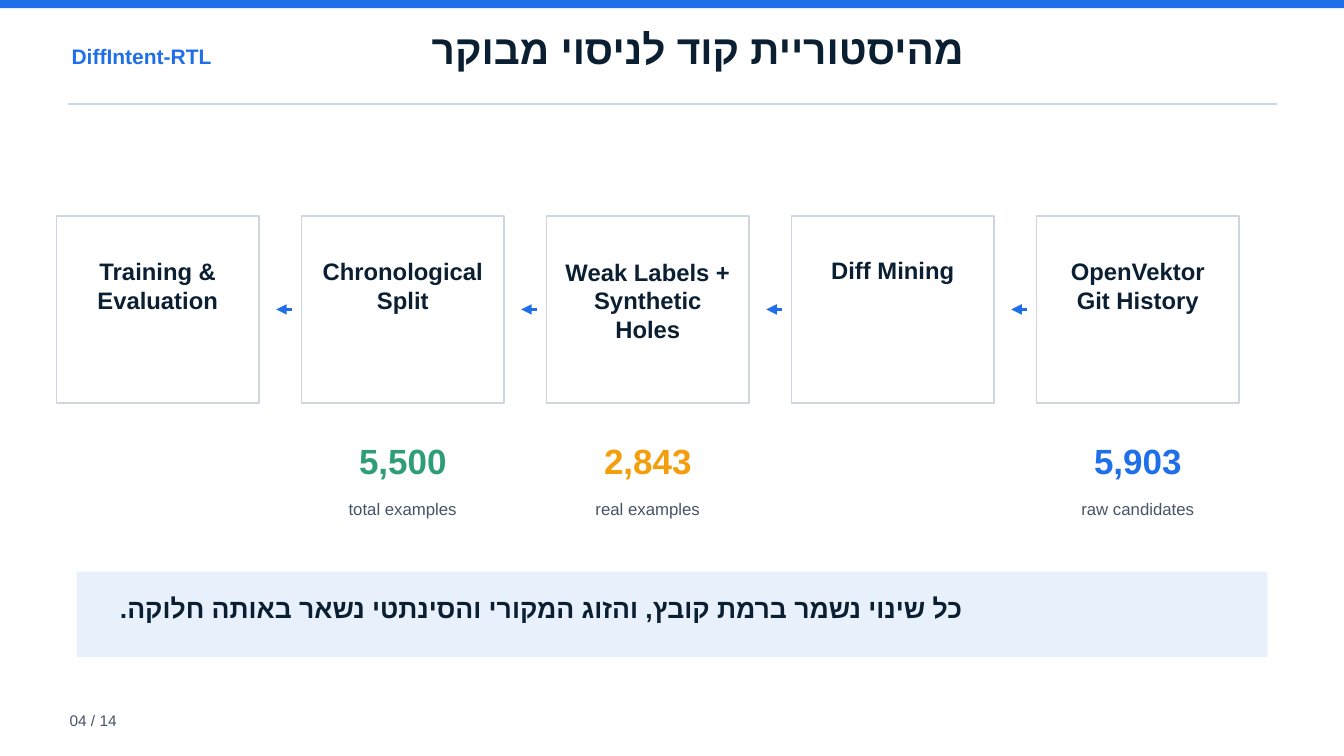
from dataclasses import dataclass
from lxml import etree
from pptx import Presentation
from pptx.dml.color import RGBColor
from pptx.enum.shapes import MSO_CONNECTOR, MSO_SHAPE
from pptx.enum.text import MSO_ANCHOR, MSO_AUTO_SIZE, PP_ALIGN
from pptx.oxml.ns import qn
from pptx.util import Inches, Pt


@dataclass(frozen=True)
class Theme:
    font: str = "Arial"
    ink: str = "0B1F33"
    muted: str = "475467"
    blue: str = "1F6FEB"
    amber: str = "F59E0B"
    green: str = "2E9D78"
    rule: str = "CFD6E0"
    white: str = "FFFFFF"
    band: str = "E8F1FB"
    title: int = 29
    number: int = 25
    takeaway: int = 19
    step: int = 17
    brand: int = 15
    caption: int = 12
    page: int = 11


theme = Theme()
prs = Presentation()
prs.slide_width, prs.slide_height = Inches(13.33), Inches(7.5)
slide = prs.slides.add_slide(prs.slide_layouts[5])


def write(text, box, size, color, bold=True, align=PP_ALIGN.LEFT, rtl=False, shape=None):
    left, top, width, height = map(Inches, box)
    shape = shape or slide.shapes.add_textbox(left, top, width, height)
    shape.left, shape.top, shape.width, shape.height = left, top, width, height
    frame = shape.text_frame
    frame.word_wrap = True
    frame.auto_size = MSO_AUTO_SIZE.NONE
    frame.vertical_anchor = MSO_ANCHOR.MIDDLE
    frame.margin_left = frame.margin_right = Inches(0.04)
    frame.margin_top = frame.margin_bottom = Inches(0.01)
    paragraph = frame.paragraphs[0]
    paragraph.alignment = align
    if rtl:
        paragraph._p.get_or_add_pPr().set("rtl", "1")
    run = paragraph.add_run()
    run.text = text
    font = run.font
    font.name, font.size, font.bold = theme.font, Pt(size), bold
    font.color.rgb = RGBColor.from_string(color)
    if rtl:
        etree.SubElement(run._r.rPr, qn("a:cs")).set("typeface", theme.font)


def draw(kind, box, color, line_width=0, fill=None, arrow=False):
    lengths = map(Inches, box)
    if kind == MSO_CONNECTOR.STRAIGHT:
        item = slide.shapes.add_connector(kind, *lengths)
    else:
        item = slide.shapes.add_shape(MSO_SHAPE.RECTANGLE, *lengths)
        item.shadow.inherit = False
        item.fill.solid()
        item.fill.fore_color.rgb = RGBColor.from_string(fill or color)
    if line_width:
        item.line.color.rgb = RGBColor.from_string(color)
        item.line.width = Pt(line_width)
    else:
        item.line.fill.background()
    if arrow:
        etree.SubElement(item.line._get_or_add_ln(), qn("a:tailEnd")).set("type", "triangle")
    if kind == MSO_CONNECTOR.STRAIGHT:
        etree.SubElement(item._element.spPr, qn("a:effectLst"))


draw(None, (0, 0, 13.33, 0.08), theme.blue)
write("מהיסטוריית קוד לניסוי מבוקר", (4.24, 0.22, 8.43, 0.52), theme.title, theme.ink,
      rtl=True, shape=slide.shapes.title)
write("DiffIntent-RTL", (0.67, 0.42, 3.47, 0.28), theme.brand, theme.blue)
draw(MSO_CONNECTOR.STRAIGHT, (0.67, 1.03, 12.67, 1.03), theme.rule, 1)
write("04 / 14", (0.65, 7.04, 0.97, 0.21), theme.page, theme.muted, bold=False)

steps = [
    ("Training & Evaluation", 2, None),
    ("Chronological Split", 2, ("5,500", "total examples", theme.green)),
    ("Weak Labels + Synthetic Holes", 3, ("2,843", "real examples", theme.amber)),
    ("Diff Mining", 1, None),
    ("OpenVektor Git History", 2, ("5,903", "raw candidates", theme.blue)),
]
step_width, pitch = 2.01, 2.43
for i, (name, lines, metric) in enumerate(steps):
    left = 0.56 + i * pitch
    center = left + step_width / 2
    draw(None, (left, 2.14, step_width, 1.86), theme.rule, 1.2, theme.white)
    write(name, (center - 0.87, 2.53, 1.74, 0.3 * lines), theme.step, theme.ink,
          align=PP_ALIGN.CENTER)
    if i:
        draw(MSO_CONNECTOR.STRAIGHT, (left - 0.09, 3.07, left - 0.25, 3.07),
             theme.blue, 2.5, arrow=True)
    if metric:
        value, caption, color = metric
        write(value, (center - 0.77, 4.34, 1.54, 0.45), theme.number, color,
              align=PP_ALIGN.CENTER)
        write(caption, (center - 0.98, 4.93, 1.96, 0.23), theme.caption, theme.muted,
              bold=False, align=PP_ALIGN.CENTER)

draw(None, (0.76, 5.67, 11.81, 0.85), theme.band)
write("כל שינוי נשמר ברמת קובץ, והזוג המקורי והסינתטי נשאר באותה חלוקה.",
      (1.15, 5.86, 11.03, 0.35), theme.takeaway, theme.ink, rtl=True)

prs.save("out.pptx")
